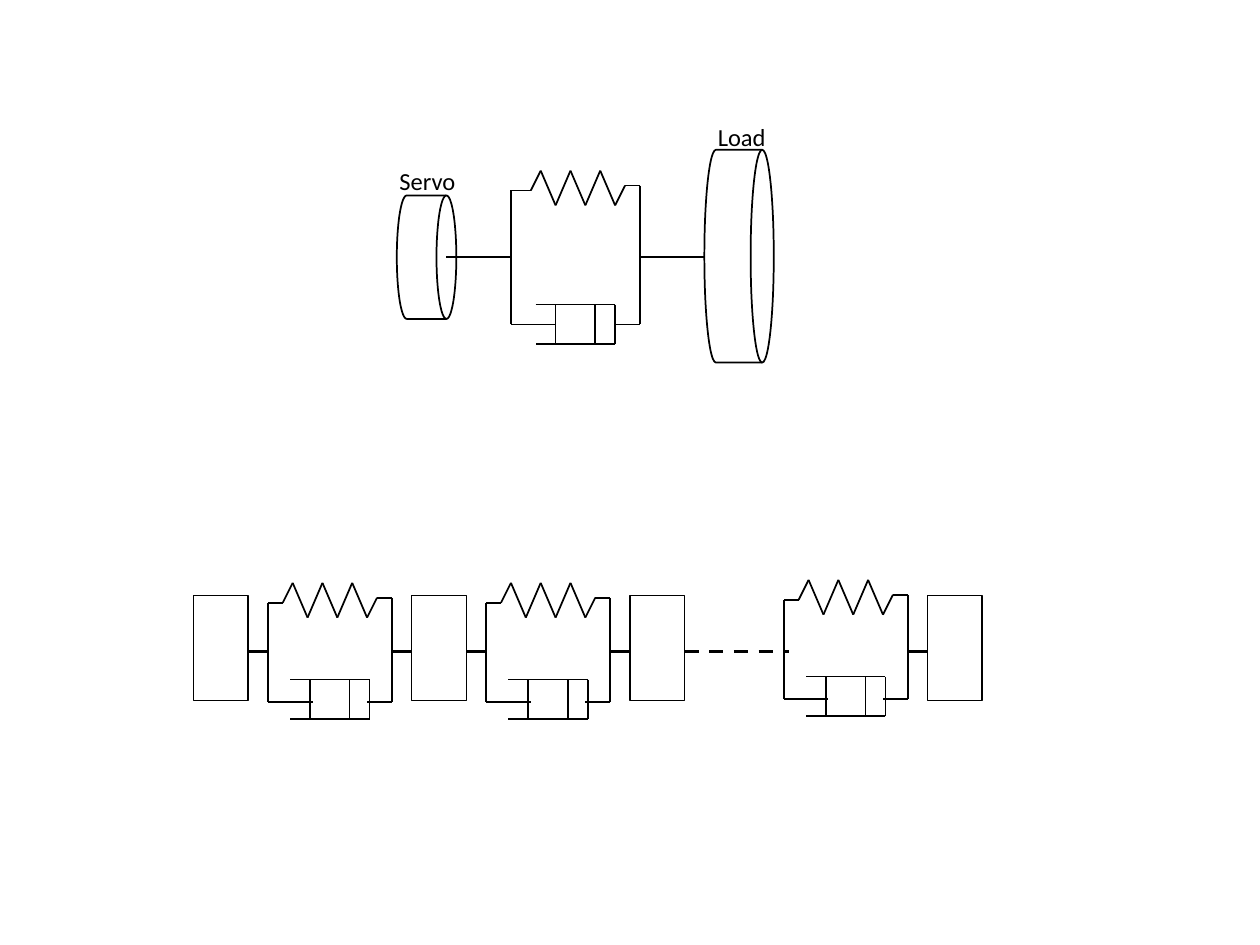
"""Build a slide showing a servo-load model and its chain of spring-damper links."""
from dataclasses import dataclass
from itertools import pairwise

from lxml import etree
from pptx import Presentation
from pptx.dml.color import RGBColor
from pptx.enum.dml import MSO_LINE
from pptx.enum.shapes import MSO_CONNECTOR, MSO_SHAPE
from pptx.enum.text import MSO_AUTO_SIZE
from pptx.oxml.ns import qn
from pptx.util import Inches, Mm, Pt

BLACK = RGBColor(0, 0, 0)
WHITE = RGBColor(255, 255, 255)
DASH = MSO_LINE.DASH
STRAIGHT = MSO_CONNECTOR.STRAIGHT
RECTANGLE = MSO_SHAPE.RECTANGLE
DRUM = MSO_SHAPE.FLOWCHART_DIRECT_ACCESS_STORAGE
FIT_SHAPE = MSO_AUTO_SIZE.SHAPE_TO_FIT_TEXT

CELL = Mm(1)
SPRING = ((0, 0), (2, -4), (5, 3), (8, -4), (11, 3), (14, -4), (17, 3), (19, -1))
RIGHT_RAIL, RIGHT_ROD = 22, 17
CUP_WIDTH, CUP_HEIGHT = 16, 8
PISTON_INSET, PISTON_SIZE = 4, 8
SERVO_SHAFT_ROW = 51.8
CHAIN_SHAFT_ROW = 131.3
MASS_WIDTH, MASS_HEIGHT, MASS_TOP = 11, 21.1, 120.1


@dataclass(frozen=True)
class Link:
    """Spring and damper in parallel; offsets count from the spring's start."""
    col: float
    row: float
    lead: float = 3
    cup_col: float = 1.5
    cup_row: float = 15.5
    rod_row: float = 20
    rod_end: float = 6


@dataclass(frozen=True)
class Drum:
    """Rotating inertia with its caption box."""
    text: str
    box: tuple
    caption: tuple


DRUMS = (
    Drum("Servo", (80, 39.4, 12, 24.9), (78, 32.3, 16.5, 8.6)),
    Drum("Load", (142, 30.2, 14, 42.9), (142.2, 23.4, 15, 8.6)),
)
SERVO_LINK = Link(107, 38.4, lead=4, cup_col=1, cup_row=23, rod_row=27, rod_end=5)
CHAIN_LINKS = (Link(57, 121.5), Link(101, 121.5), Link(161, 120.9))
MASS_COLS = (39, 83, 127, 187)
SERVO_SHAFTS = ((90, 103), (129, 142))
CHAIN_SHAFTS = ((50, 54), (79, 83), (94, 98), (123, 127), (183, 187))
DASHED_SHAFT = (138, 159)


def grid(*cells: float) -> list[int]:
    """Turn grid counts into lengths."""
    return [round(cell * CELL) for cell in cells]


def add_line(shapes, start: tuple, end: tuple, width: float = 1, dash=None) -> None:
    """Draw a straight black line between two grid points."""
    c = shapes.add_connector(STRAIGHT, *grid(*start, *end))
    c.line.color.rgb = BLACK
    c.line.width = Pt(width)
    if dash is not None:
        c.line.dash_style = dash
    etree.SubElement(c._element.spPr, qn("a:effectLst"))


def add_path(shapes, *points: tuple) -> None:
    """Join grid points with lines."""
    for start, end in pairwise(points):
        add_line(shapes, start, end)


def add_box(shapes, kind, box: tuple, width: float = 1, fill=WHITE) -> None:
    """Draw an outlined preset shape, unfilled if fill is None."""
    sp = shapes.add_shape(kind, *grid(*box))
    sp.shadow.inherit = False
    if fill is None:
        sp.fill.background()
    else:
        sp.fill.solid()
        sp.fill.fore_color.rgb = fill
    sp.line.color.rgb = BLACK
    sp.line.width = Pt(width)


def add_text(shapes, text: str, box: tuple, *, size: float = 14,
             font: str = "Calibri", color: RGBColor = BLACK) -> None:
    """Add a one-line caption."""
    tf = shapes.add_textbox(*grid(*box)).text_frame
    tf.word_wrap = False
    tf.auto_size = FIT_SHAPE
    r = tf.paragraphs[0].add_run()
    r.text = text
    r.font.size = Pt(size)
    r.font.name = font
    r.font.color.rgb = color


def add_link(shapes, link: Link) -> None:
    """Draw a spring-damper link as one group."""
    group = shapes.add_group_shape().shapes

    def at(col: float, row: float) -> tuple:
        """Place an offset of this link on the grid."""
        return link.col + col, link.row + row

    left, top = link.cup_col, link.cup_row
    right, bottom = left + CUP_WIDTH, top + CUP_HEIGHT
    spring_end = SPRING[-1]
    add_path(group, *(at(*point) for point in SPRING))
    add_box(group, RECTANGLE, (*at(left + PISTON_INSET, top), PISTON_SIZE, PISTON_SIZE))
    add_path(group, at(left, top), at(right, top), at(right, bottom), at(left, bottom))
    add_path(group, at(0, 0), at(-link.lead, 0), at(-link.lead, link.rod_row),
             at(link.rod_end, link.rod_row))
    add_path(group, at(*spring_end), at(RIGHT_RAIL, spring_end[1]),
             at(RIGHT_RAIL, link.rod_row), at(RIGHT_ROD, link.rod_row))


def add_shaft(shapes, cols: tuple, row: float, width: float, dash=None) -> None:
    """Draw a level shaft between two columns."""
    start, end = cols
    add_line(shapes, (start, row), (end, row), width, dash)


def main() -> None:
    """Build and save the slide."""
    prs = Presentation()
    prs.slide_width, prs.slide_height = Inches(10), Inches(7.5)
    s = prs.slides.add_slide(prs.slide_layouts[6])
    shapes = s.shapes
    for drum in DRUMS:
        add_box(shapes, DRUM, drum.box)
        add_text(shapes, drum.text, drum.caption)
    for link in (SERVO_LINK, *CHAIN_LINKS):
        add_link(shapes, link)
    for cols in SERVO_SHAFTS:
        add_shaft(shapes, cols, SERVO_SHAFT_ROW, 1)
    for col in MASS_COLS:
        add_box(shapes, RECTANGLE, (col, MASS_TOP, MASS_WIDTH, MASS_HEIGHT), 0.75, None)
    for cols in CHAIN_SHAFTS:
        add_shaft(shapes, cols, CHAIN_SHAFT_ROW, 2)
    add_shaft(shapes, DASHED_SHAFT, CHAIN_SHAFT_ROW, 2, DASH)
    prs.save("out.pptx")


if __name__ == "__main__":
    main()
